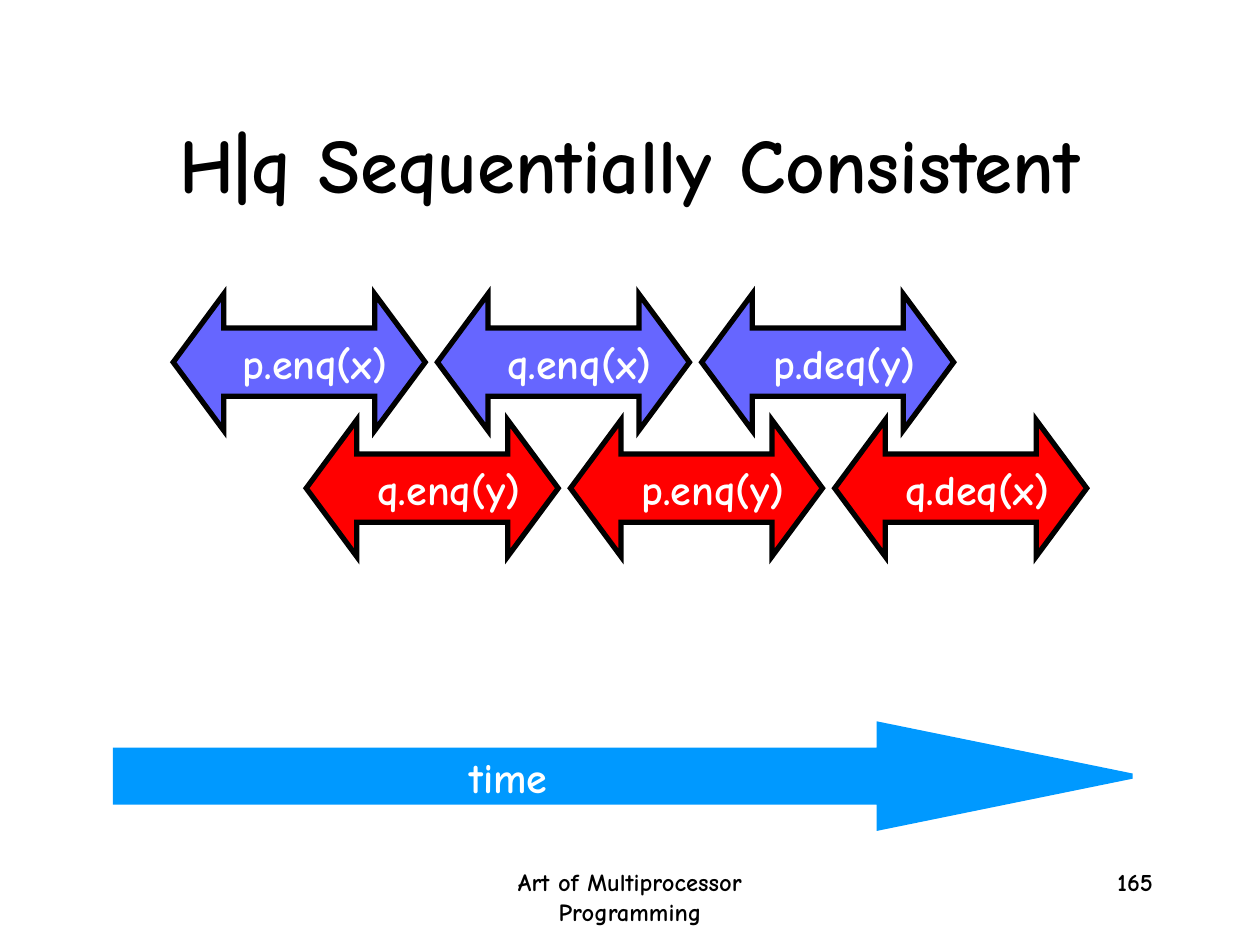
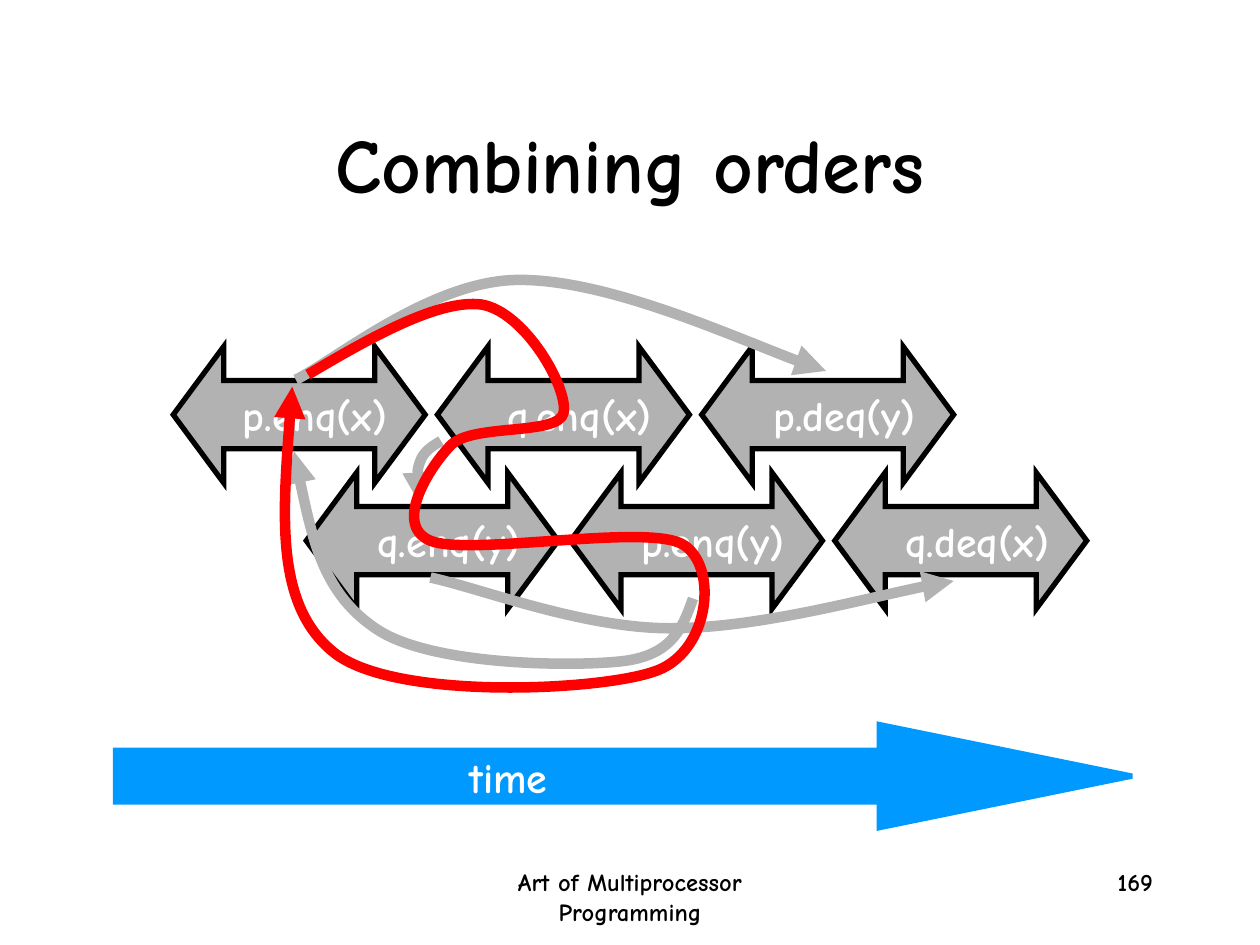
import pptx
import pptx.dml.color
import pptx.enum.shapes
import pptx.enum.text
import pptx.oxml
import pptx.oxml.ns
import pptx.util

Pt = pptx.util.Pt
RGBColor = pptx.dml.color.RGBColor
MSO_SHAPE = pptx.enum.shapes.MSO_SHAPE
ALIGN = pptx.enum.text.PP_ALIGN
ANCHOR = pptx.enum.text.MSO_ANCHOR
qn = pptx.oxml.ns.qn

BLACK = RGBColor(0x00, 0x00, 0x00)
WHITE = RGBColor(0xFF, 0xFF, 0xFF)
VIOLET = RGBColor(0x66, 0x66, 0xFF)
RED = RGBColor(0xFF, 0x00, 0x00)
GRAY = RGBColor(0xB2, 0xB2, 0xB2)
SKY = RGBColor(0x00, 0x99, 0xFF)
FONT = "Comic Neue"

# Content: two threads of method calls, shown on both slides
FOOTER = "Art of Multiprocessor Programming"
THREADS = [
    ["p.enq(x)", "q.enq(x)", "p.deq(y)"],
    ["q.enq(y)", "p.enq(y)", "q.deq(x)"],
]

# Ordering arrows: start point, then two controls and an end per curve
ORDERS = [
    (GRAY, [(252, 252), (247, 255), (242, 258), (240, 264),
            (238, 270), (239, 279), (240, 288)]),
    (GRAY, [(246, 330), (274, 336), (333, 359), (383, 359),
            (433, 359), (517, 336), (545, 332)]),
    (GRAY, [(169, 217), (190, 207), (245, 161), (295, 160),
            (346, 159), (443, 203), (472, 212)]),
    (GRAY, [(396, 342), (390, 359), (384, 375), (354, 378), (324, 381),
            (247, 380), (216, 360), (185, 340), (176, 299), (168, 258)]),
    (RED, [(176, 214), (213, 192), (251, 171), (275, 174), (300, 178),
           (325, 222), (322, 236), (319, 249), (271, 242), (258, 254),
           (246, 266), (224, 300), (246, 309), (268, 318), (369, 299),
           (390, 311), (411, 323), (406, 374), (373, 384), (340, 395),
           (225, 400), (191, 373), (157, 346), (162, 284), (167, 221)]),
]

SLIDES = [
    dict(title="H|q Sequentially Consistent", number="165", top=168,
         fills=[VIOLET, RED], orders=[]),
    dict(title="Combining orders", number="169", top=198,
         fills=[GRAY, GRAY], orders=ORDERS),
]

# Layout of the calls, in points
CALL_LEFT, CALL_W, CALL_H = 99, 144, 78
CALL_PITCH, THREAD_SHIFT, THREAD_PITCH = 151, 76, 72


def set_text(sp, text, size=24, color=WHITE, align=ALIGN.RIGHT,
             anchor=ANCHOR.MIDDLE, wrap=False):
    tf = sp.text_frame
    tf.auto_size = pptx.enum.text.MSO_AUTO_SIZE.NONE
    tf.word_wrap = wrap
    tf.vertical_anchor = anchor
    p = tf.paragraphs[0]
    p.alignment = align
    r = p.add_run()
    r.text = text
    r.font.name, r.font.size, r.font.bold = FONT, Pt(size), True
    r.font.color.rgb = color


def add_box(shapes, box, text, **fmt):
    set_text(shapes.add_textbox(*map(Pt, box)), text, **fmt)


def add_arrow(shapes, kind, box, adjustments, fill, line):
    sp = shapes.add_shape(kind, *map(Pt, box))
    for i, value in enumerate(adjustments):
        sp.adjustments[i] = value
    sp.shadow.inherit = False
    sp.fill.solid()
    sp.fill.fore_color.rgb = fill
    sp.line.color.rgb = line
    sp.line.width = Pt(3)
    ln = sp.element.spPr.find(qn("a:ln"))
    miter = pptx.oxml.parse_xml(
        f'<a:miter {pptx.oxml.ns.nsdecls("a")} lim="800000"/>')
    ln.append(miter)
    return sp


def add_curve(shapes, color, points):
    builder = shapes.build_freeform(*points[0], scale=Pt(1))
    builder.add_line_segments(points[1:], close=False)
    sp = builder.convert_to_shape()
    sp.shadow.inherit = False
    sp.fill.background()
    sp.line.color.rgb = color
    sp.line.width = Pt(6)
    # Merge each three line segments into one Bezier segment
    segments = list(sp.element.iter(qn("a:lnTo")))
    for i in range(0, len(segments), 3):
        bezier = pptx.oxml.parse_xml(
            f'<a:cubicBezTo {pptx.oxml.ns.nsdecls("a")}/>')
        segments[i].addprevious(bezier)
        for segment in segments[i:i + 3]:
            bezier.append(segment[0])
            segment.getparent().remove(segment)
    ln = sp.element.spPr.find(qn("a:ln"))
    ln.append(pptx.oxml.parse_xml(
        f'<a:tailEnd {pptx.oxml.ns.nsdecls("a")} type="triangle"/>'))


def add_frame(s, title, number):
    # Title, footer and page number
    sp = s.shapes.title
    sp.left, sp.top, sp.width, sp.height = map(Pt, (54, 48, 612, 90))
    set_text(sp, title, size=44, color=BLACK, align=ALIGN.CENTER, wrap=True)
    small = dict(size=14, color=BLACK, anchor=ANCHOR.TOP, wrap=True)
    add_box(s.shapes, (246, 492, 228, 36), FOOTER, align=ALIGN.CENTER, **small)
    add_box(s.shapes, (516, 492, 150, 36), number, **small)


def add_timeline(s):
    group = s.shapes.add_group_shape()
    add_arrow(group.shapes, MSO_SHAPE.RIGHT_ARROW, (66, 414, 581, 59),
              (0.5, 2.45), SKY, SKY)
    add_box(group.shapes, (261, 426, 59, 36), "time", anchor=ANCHOR.TOP)


def add_calls(s, top, fills):
    for row, (calls, fill) in enumerate(zip(THREADS, fills)):
        for col, call in enumerate(calls):
            left = CALL_LEFT + row * THREAD_SHIFT + col * CALL_PITCH
            box = (left, top + row * THREAD_PITCH, CALL_W, CALL_H)
            sp = add_arrow(s.shapes, MSO_SHAPE.LEFT_RIGHT_ARROW, box,
                           (0.5, 0.37), fill, BLACK)
            set_text(sp, call)


def main():
    prs = pptx.Presentation()
    prs.slide_width, prs.slide_height = Pt(720), Pt(540)
    for page in SLIDES:
        s = prs.slides.add_slide(prs.slide_layouts.get_by_name("Title Only"))
        add_frame(s, page["title"], page["number"])
        add_calls(s, page["top"], page["fills"])
        add_timeline(s)
        for color, points in page["orders"]:
            add_curve(s.shapes, color, points)
    prs.save("out.pptx")


if __name__ == "__main__":
    main()
